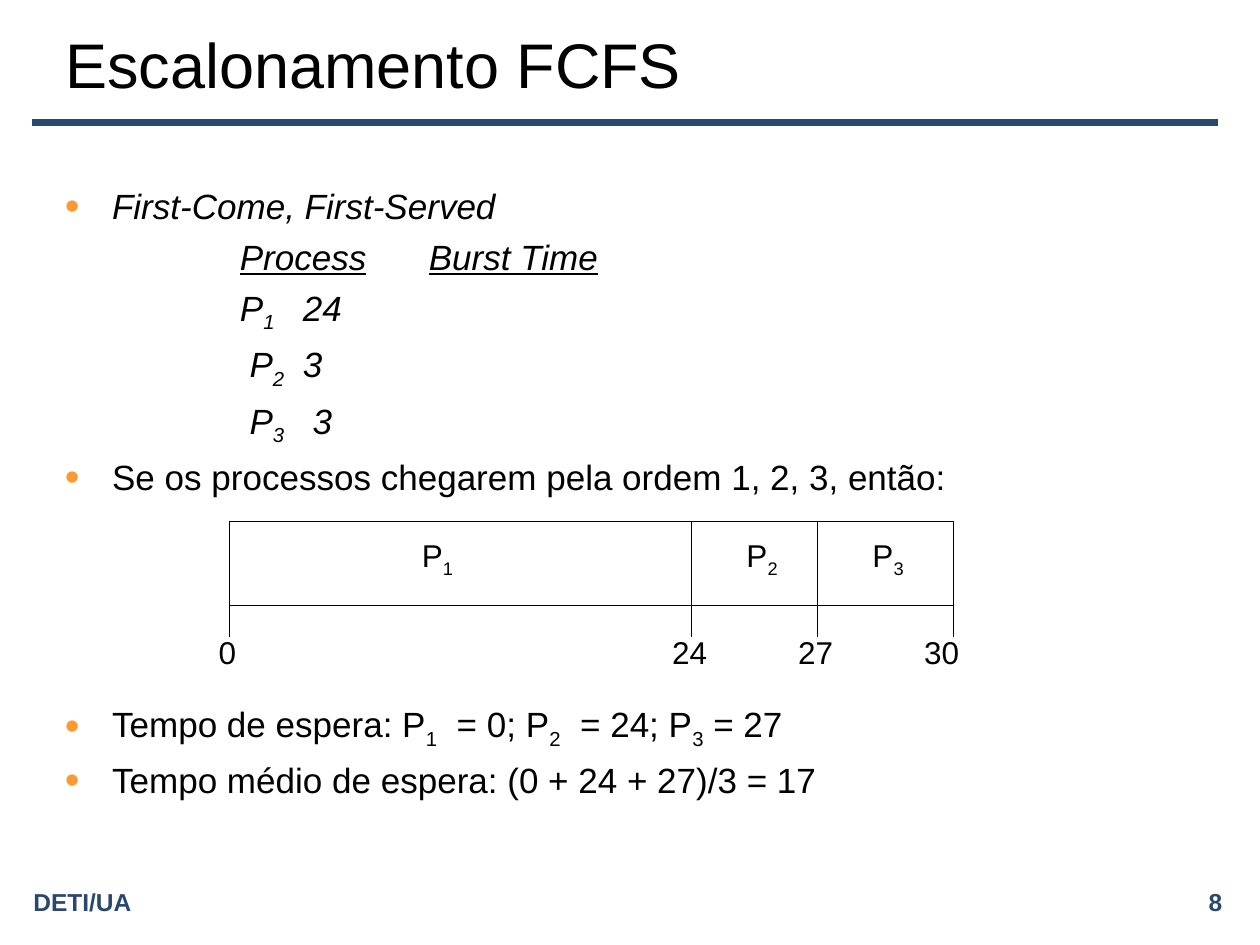
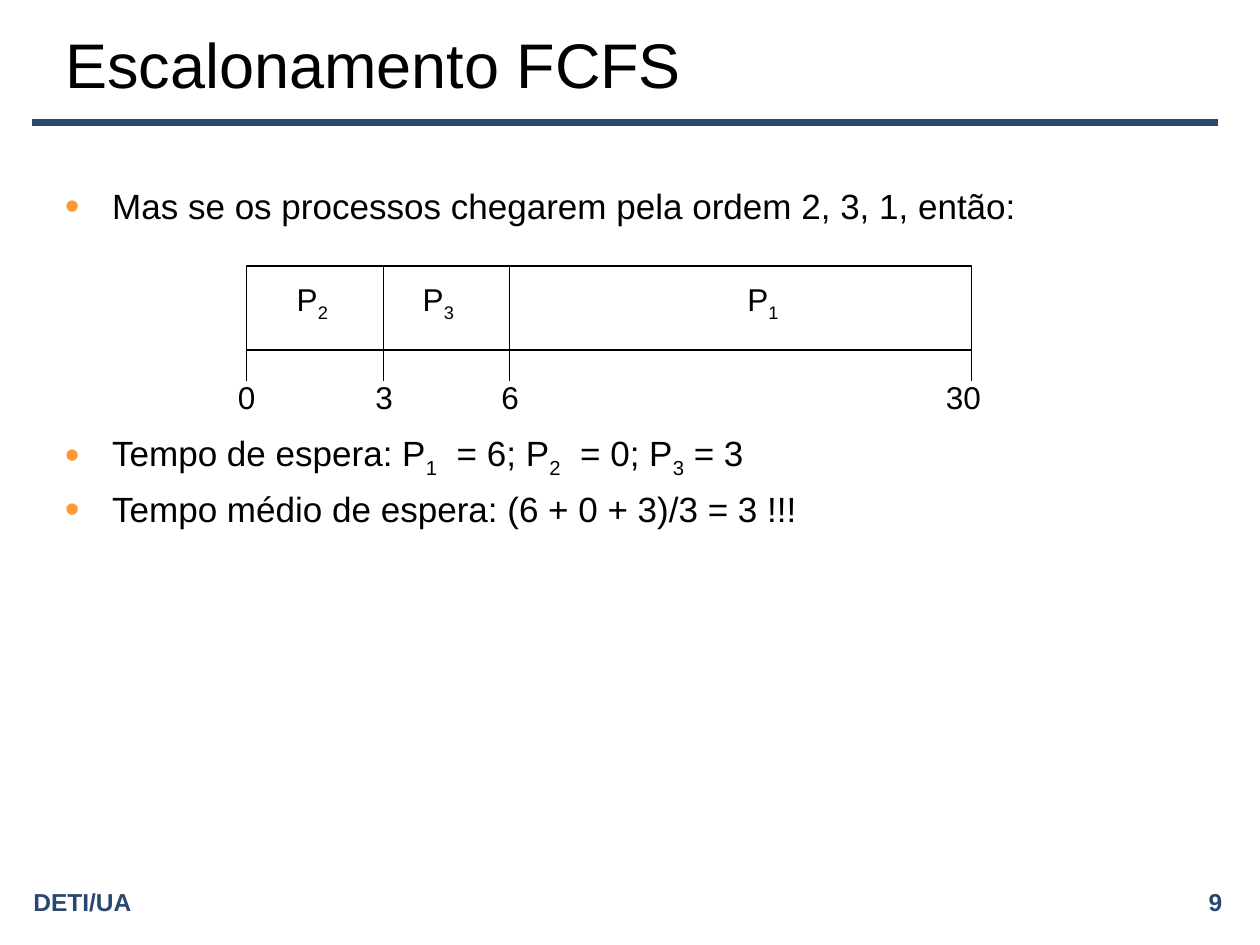
from lxml.etree import SubElement
from pptx import Presentation
from pptx.dml.color import RGBColor
from pptx.enum.shapes import MSO_CONNECTOR, MSO_SHAPE
from pptx.enum.text import MSO_ANCHOR, PP_ALIGN
from pptx.oxml.ns import qn
from pptx.util import Pt

# Content: "_" makes the next character a subscript
TITLE = "Escalonamento FCFS"
FOOTER = "DETI/UA"
SLIDES = [
    {
        "number": "8",
        "body": [
            ("term", "First-Come, First-Served"),
            ("header", "Process\tBurst Time"),
            ("row", "P_1\t24"),
            ("row", " P_2 \t3"),
            ("row", " P_3\t 3"),
            ("bullet", "Se os processos chegarem pela ordem 1, 2, 3, então:"),
            ("below chart", "Tempo de espera: P_1  = 0; P_2  = 24; P_3 = 27"),
            ("bullet", "Tempo médio de espera: (0 + 24 + 27)/3 = 17"),
        ],
        "chart": {
            "left": 131, "top": 298, "mirrored": False,
            "processes": ["P_1", "P_2", "P_3"],
            "times": [("0", -1), ("24", 263), ("27", 335), ("30", 407)],
        },
    },
    {
        "number": "9",
        "body": [
            ("bullet", "Mas se os processos chegarem pela ordem 2, 3, 1, então:"),
            ("below chart", "Tempo de espera: P_1  = 6; P_2  = 0; P_3 = 3"),
            ("bullet", "Tempo médio de espera: (6 + 0 + 3)/3 = 3 !!!"),
        ],
        "chart": {
            "left": 141, "top": 152, "mirrored": True,
            "processes": ["P_2", "P_3", "P_1"],
            "times": [("0", 0), ("3", 78.5), ("6", 150.5), ("30", 409.5)],
        },
    },
]

# Shared style
FONT, BLACK, WHITE, NAVY, ORANGE = "Arial", "000000", "FFFFFF", "2A476F", "FF9933"
BULLET_INDENT, ROW_INDENT = 27, 100
LINE_STEP, LINE_GAP, CHART_LINES = 28, 5, 4

# Chart geometry, as offsets from its left edge
CHART_WIDTH, BAR_HEIGHT, TICK = 414, 48, 18
EDGES = [0, 264, 336, CHART_WIDTH]
LABEL_CENTRES = [119, 304.5, 376.5]
LABEL_DROP, TIME_DROP, LABEL_HEIGHT = 6, 60, 29


def colour(code):
    return RGBColor.from_string(code)


def style(font, size, code=BLACK, bold=False, italic=False):
    font.name, font.size, font.bold, font.italic = FONT, Pt(size), bold, italic
    font.color.rgb = colour(code)


def write(paragraph, text, size, **look):
    """Fill a paragraph, turning each character after "_" into a subscript."""
    first, *others = text.split("_")
    pieces = [(first, False)]
    for piece in others:
        pieces += [(piece[0], True), (piece[1:], False)]
    for piece, lowered in pieces:
        if piece:
            span = paragraph.add_run()
            span.text = piece
            style(span.font, size, **look)
            if lowered:
                span._r.get_or_add_rPr().set("baseline", "-25000")


def add_text(shapes, left, top, width, height, text, size,
             align=PP_ALIGN.LEFT, wrap=True, **look):
    box = shapes.add_textbox(Pt(left), Pt(top), Pt(width), Pt(height))
    frame = box.text_frame
    frame.word_wrap, frame.vertical_anchor = wrap, MSO_ANCHOR.MIDDLE
    frame.paragraphs[0].alignment = align
    write(frame.paragraphs[0], text, size, **look)


def add_line(shapes, x1, y1, x2, y2, code=BLACK, weight=0.75):
    line = shapes.add_connector(MSO_CONNECTOR.STRAIGHT, Pt(x1), Pt(y1), Pt(x2), Pt(y2))
    line.line.color.rgb = colour(code)
    line.line.width = Pt(weight)
    SubElement(line._element.spPr, qn("a:effectLst"))


def indent(paragraph, margin, bullet):
    properties = paragraph._p.get_or_add_pPr()
    properties.set("marL", str(Pt(margin)))
    properties.set("indent", str(-Pt(margin) if bullet else 0))
    if bullet:
        bullet_colour = SubElement(properties, qn("a:buClr"))
        SubElement(bullet_colour, qn("a:srgbClr"), val=ORANGE)
        SubElement(properties, qn("a:buSzPct"), val="120000")
        SubElement(properties, qn("a:buFont"), typeface=FONT)
        SubElement(properties, qn("a:buChar"), char="•")
    else:
        SubElement(properties, qn("a:buNone"))


def add_frame(page, number):
    # Title, rule and footer
    title = page.shapes.title
    title.left, title.top, title.width, title.height = Pt(30), Pt(12), Pt(630), Pt(48)
    title.text_frame.text = TITLE
    title.text_frame.vertical_anchor = MSO_ANCHOR.MIDDLE
    paragraph = title.text_frame.paragraphs[0]
    paragraph.alignment = PP_ALIGN.LEFT
    style(paragraph.runs[0].font, 36)
    add_line(page.shapes, 18, 70, 696, 70, NAVY, 4.5)
    for left, text, align in [(12, FOOTER, PP_ALIGN.LEFT), (426, number, PP_ALIGN.RIGHT)]:
        add_text(page.shapes, left, 504, 279.5, 22, text, 14, align, code=NAVY, bold=True)


def add_body(page, lines):
    box = page.shapes.add_textbox(Pt(30), Pt(102), Pt(648), Pt(356))
    frame = box.text_frame
    frame.word_wrap = True
    for index, (kind, text) in enumerate(lines):
        paragraph = frame.add_paragraph() if index else frame.paragraphs[0]
        in_list = kind in ("header", "row")
        if index:
            room = CHART_LINES * LINE_STEP if kind == "below chart" else 0
            paragraph.space_before = Pt(LINE_GAP + room)
        indent(paragraph, ROW_INDENT if in_list else BULLET_INDENT, not in_list)
        if kind == "header":
            for part in text.partition("\t"):
                write(paragraph, part, 20, italic=True)
                paragraph.runs[-1].font.underline = part != "\t"
        else:
            write(paragraph, text, 20, italic=kind in ("term", "row"))


def add_gantt(page, left, top, mirrored, processes, times):
    shapes = page.shapes.add_group_shape().shapes
    edges, centres = EDGES, LABEL_CENTRES
    if mirrored:
        edges, centres = ([CHART_WIDTH - x for x in reversed(row)] for row in (edges, centres))
    bottom = top + BAR_HEIGHT

    # Bar with its dividers and ticks
    bar = shapes.add_shape(MSO_SHAPE.RECTANGLE, Pt(left), Pt(top),
                           Pt(CHART_WIDTH), Pt(BAR_HEIGHT))
    bar.shadow.inherit = False
    bar.fill.solid()
    bar.fill.fore_color.rgb = colour(WHITE)
    bar.line.color.rgb = colour(BLACK)
    bar.line.width = Pt(0.75)
    for edge in edges:
        add_line(shapes, left + edge, bottom, left + edge, bottom + TICK)
    for edge in edges[1:-1]:
        add_line(shapes, left + edge, top, left + edge, bottom)

    # Process names inside, times below
    labels = [(name, centre, LABEL_DROP, 33) for name, centre in zip(processes, centres)]
    labels += [(time, centre, TIME_DROP, 14.5 + 10 * len(time)) for time, centre in times]
    for text, centre, drop, width in labels:
        add_text(shapes, left + centre - width / 2, top + drop, width, LABEL_HEIGHT,
                 text, 18, PP_ALIGN.CENTER, wrap=False)


def main():
    deck = Presentation()
    deck.slide_width, deck.slide_height = Pt(720), Pt(540)
    for content in SLIDES:
        page = deck.slides.add_slide(deck.slide_layouts[5])
        add_frame(page, content["number"])
        add_body(page, content["body"])
        add_gantt(page, **content["chart"])
    deck.save("out.pptx")


if __name__ == "__main__":
    main()
